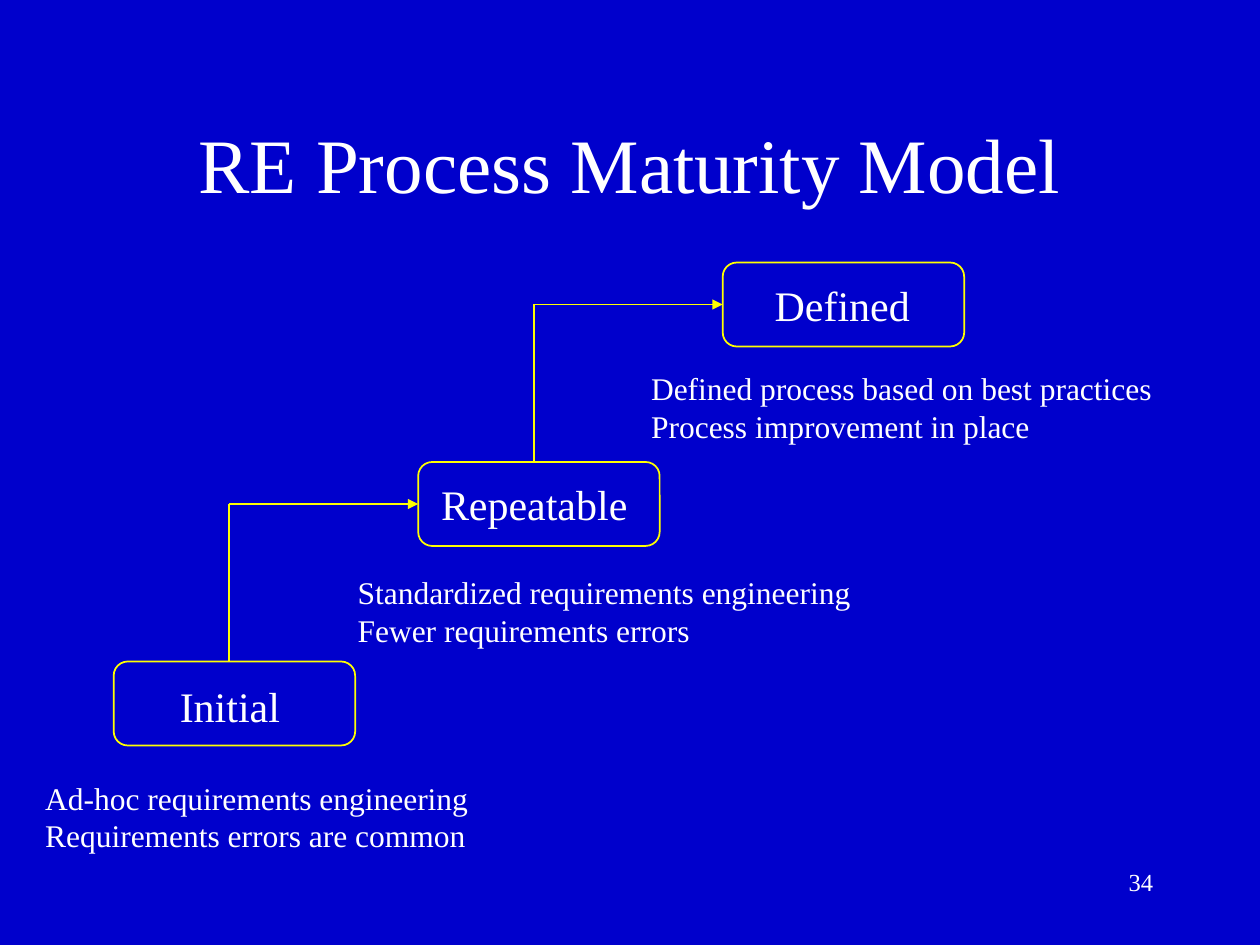
from lxml.etree import SubElement
from pptx import Presentation
from pptx.dml.color import RGBColor
from pptx.enum.shapes import MSO_CONNECTOR, MSO_SHAPE
from pptx.enum.text import MSO_ANCHOR, PP_ALIGN
from pptx.oxml.ns import qn
from pptx.util import Pt

FONT = "Times New Roman"
BLUE, YELLOW, WHITE = "0000CC", "FFFF00", "FFFFFF"


def rgb(color):
    return RGBColor.from_string(color)


class SlideBuilder:
    def __init__(self, prs):
        self.s = prs.slides.add_slide(prs.slide_layouts[6])
        fill = self.s.background.fill
        fill.solid()
        fill.fore_color.rgb = rgb(BLUE)

    def text(self, x, y, w, h, text, size, align=PP_ALIGN.LEFT,
             anchor=MSO_ANCHOR.TOP):
        tf = self.s.shapes.add_textbox(Pt(x), Pt(y), Pt(w), Pt(h)).text_frame
        tf.word_wrap = True
        tf.vertical_anchor = anchor
        tf.text = text
        for p in tf.paragraphs:
            p.alignment = align
            for r in p.runs:
                r.font.name = FONT
                r.font.size = Pt(size)
                r.font.color.rgb = rgb(WHITE)

    def box(self, x, y, w, h):
        sp = self.s.shapes.add_shape(MSO_SHAPE.ROUNDED_RECTANGLE,
                                     Pt(x), Pt(y), Pt(w), Pt(h))
        sp.shadow.inherit = False
        sp.fill.background()
        sp.line.color.rgb = rgb(YELLOW)
        sp.line.width = Pt(1)

    def line(self, x1, y1, x2, y2, arrow=False):
        c = self.s.shapes.add_connector(MSO_CONNECTOR.STRAIGHT,
                                        Pt(x1), Pt(y1), Pt(x2), Pt(y2))
        c.line.color.rgb = rgb(YELLOW)
        c.line.width = Pt(1)
        if arrow:
            SubElement(c.line._get_or_add_ln(), qn("a:tailEnd"), type="triangle")
        SubElement(c._element.spPr, qn("a:effectLst"))


def main():
    prs = Presentation()
    prs.slide_width, prs.slide_height = Pt(720), Pt(540)
    slide = SlideBuilder(prs)
    slide.text(54, 48, 612, 90, "RE Process Maturity Model", 44,
               PP_ALIGN.CENTER, MSO_ANCHOR.MIDDLE)

    box_w, box_h = 138, 48
    step_x, step_y = 174, 114
    levels = [
        ("Initial", 92.4, 385.2, 78, 18.7, 441.4, 328,
         "Ad-hoc requirements engineering\nRequirements errors are common"),
        ("Repeatable", 242.3, 270, 126, 197.3, 324, 368,
         "Standardized requirements engineering\nFewer requirements errors"),
        ("Defined", 432.3, 156.2, 98, 365, 207.4, 355,
         "Defined process based on best practices\nProcess improvement in place"),
    ]
    for i, (name, name_x, name_y, name_w, note_x, note_y, note_w, note) in enumerate(levels):
        x, y = 65 + i * step_x, 378 - i * step_y
        slide.box(x, y, box_w, box_h)
        slide.text(name_x, name_y, name_w, 36, name, 24, PP_ALIGN.CENTER)
        slide.text(note_x, note_y, note_w, 50.4, note, 18)
        if i < len(levels) - 1:
            turn_x, turn_y = x + 66, y - step_y + box_h / 2
            slide.line(turn_x, y, turn_x, turn_y)
            slide.line(turn_x, turn_y, x + step_x, turn_y, arrow=True)

    slide.text(516, 492, 150, 36, "34", 14, PP_ALIGN.RIGHT)
    prs.save("out.pptx")


if __name__ == "__main__":
    main()
